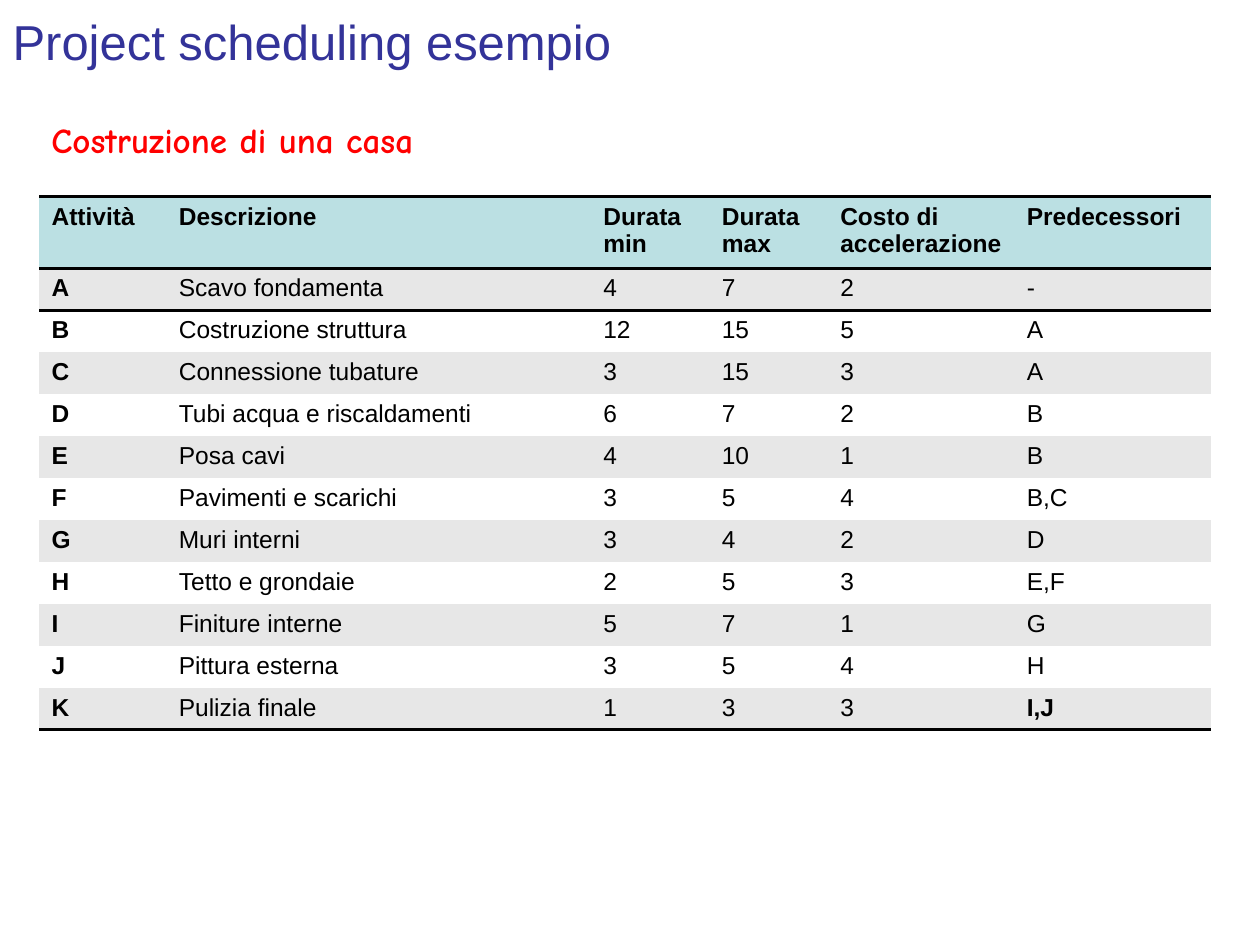
from lxml import etree
from pptx import Presentation
from pptx import util as u
from pptx.dml.color import RGBColor
from pptx.enum import text
from pptx.oxml.ns import qn

Pt = u.Pt
NO_STYLE = "{2D5ABB26-0587-4C30-8999-92F81FD0307C}"
WIDTHS = [72.7, 242.6, 67.7, 67.7, 106.6, 112.3]
HEADER_HEIGHT, ROW_HEIGHT = 41, 24
ACTIVITIES = [
    ("Attività", "Descrizione", "Durata min", "Durata max", "Costo di accelerazione", "Predecessori"),
    ("A", "Scavo fondamenta", "4", "7", "2", "-"),
    ("B", "Costruzione struttura", "12", "15", "5", "A"),
    ("C", "Connessione tubature", "3", "15", "3", "A"),
    ("D", "Tubi acqua e riscaldamenti", "6", "7", "2", "B"),
    ("E", "Posa cavi", "4", "10", "1", "B"),
    ("F", "Pavimenti e scarichi", "3", "5", "4", "B,C"),
    ("G", "Muri interni", "3", "4", "2", "D"),
    ("H", "Tetto e grondaie", "2", "5", "3", "E,F"),
    ("I", "Finiture interne", "5", "7", "1", "G"),
    ("J", "Pittura esterna", "3", "5", "4", "H"),
    ("K", "Pulizia finale", "1", "3", "3", "I,J"),
]


def rgb(value):
    return RGBColor.from_string(value)


def format_text(p, size, color, name="Arial", bold=False):
    p.alignment = text.PP_ALIGN.LEFT
    p.font.size = Pt(size)
    p.font.name = name
    p.font.bold = bold
    p.font.color.rgb = rgb(color)


def add_title(s, value):
    sp = s.shapes.title
    sp.left, sp.top, sp.width, sp.height = Pt(0), Pt(-2), Pt(648), Pt(51)
    tf = sp.text_frame
    tf.text = value
    tf.vertical_anchor = text.MSO_ANCHOR.MIDDLE
    format_text(tf.paragraphs[0], 28, "333399")


def add_subtitle(s, value):
    sp = s.shapes.add_textbox(Pt(22.3), Pt(64), Pt(528.5), Pt(31.7))
    tf = sp.text_frame
    tf.word_wrap = True
    tf.text = value
    format_text(tf.paragraphs[0], 20, "FF0000", "Comic Neue", True)


def set_border(cell, index, side):
    ln = etree.Element(qn(f"a:{side}"), w=str(Pt(2)))
    fill = etree.SubElement(ln, qn("a:solidFill"))
    etree.SubElement(fill, qn("a:srgbClr"), val="000000")
    cell._tc.get_or_add_tcPr().insert(index, ln)


def add_activity_table(s):
    last = len(ACTIVITIES) - 1
    frame = s.shapes.add_table(len(ACTIVITIES), len(WIDTHS), Pt(22.3), Pt(112.3),
                               Pt(sum(WIDTHS)), Pt(HEADER_HEIGHT + last * ROW_HEIGHT))
    table = frame.table
    table.horz_banding = False
    table._tbl.tblPr.find(qn("a:tableStyleId")).text = NO_STYLE
    for column, width in zip(table.columns, WIDTHS):
        column.width = Pt(width)
    for i, values in enumerate(ACTIVITIES):
        table.rows[i].height = Pt(ROW_HEIGHT if i else HEADER_HEIGHT)
        color = "BBE0E3" if i == 0 else "E7E7E7" if i % 2 else "FFFFFF"
        for j, value in enumerate(values):
            cell = table.cell(i, j)
            cell.text = value
            cell.fill.solid()
            cell.fill.fore_color.rgb = rgb(color)
            bold = i == 0 or j == 0 or value == "I,J"
            format_text(cell.text_frame.paragraphs[0], 14, "000000", bold=bold)
            if i in (0, last):
                set_border(cell, 0, "lnB")
            if i in (0, 1):
                set_border(cell, 0, "lnT")


def main():
    prs = Presentation()
    prs.slide_width, prs.slide_height = Pt(720), Pt(540)
    s = prs.slides.add_slide(prs.slide_layouts[5])
    add_activity_table(s)
    add_title(s, "Project scheduling esempio")
    add_subtitle(s, "Costruzione di una casa")
    prs.save("out.pptx")


if __name__ == "__main__":
    main()
